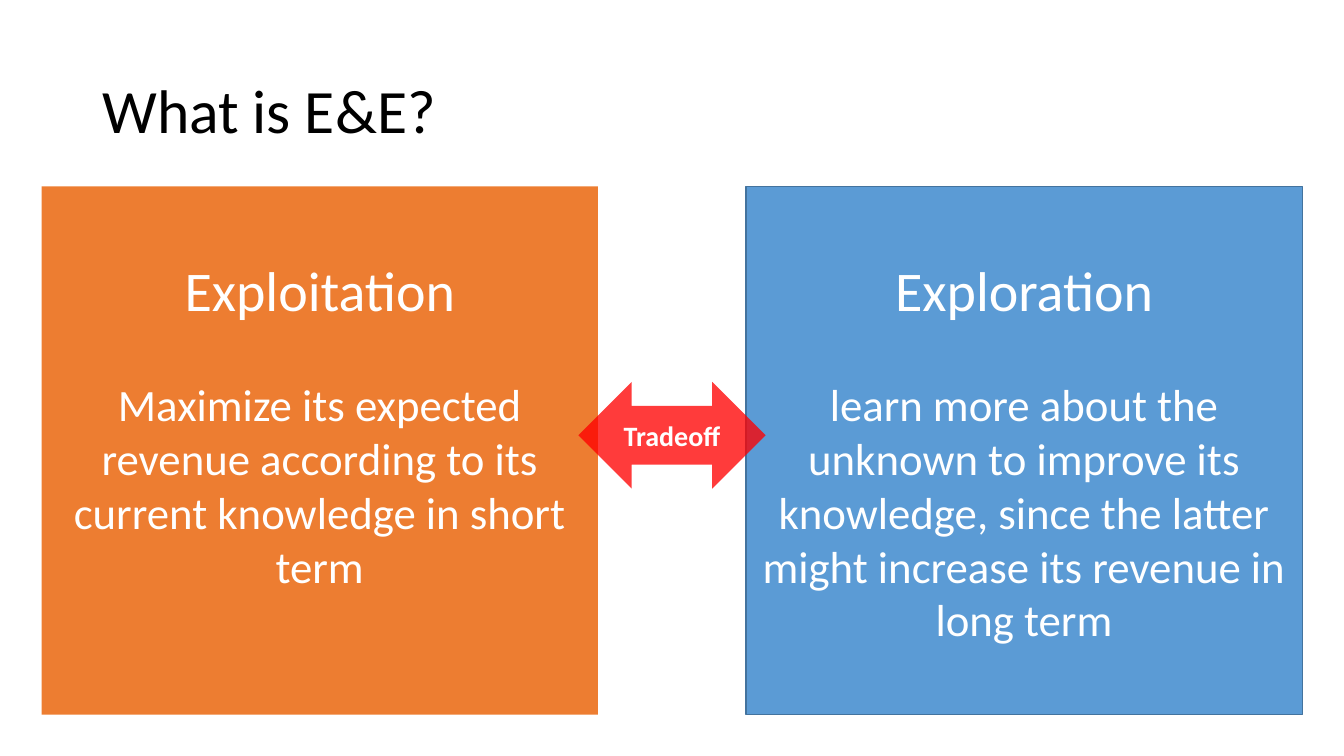
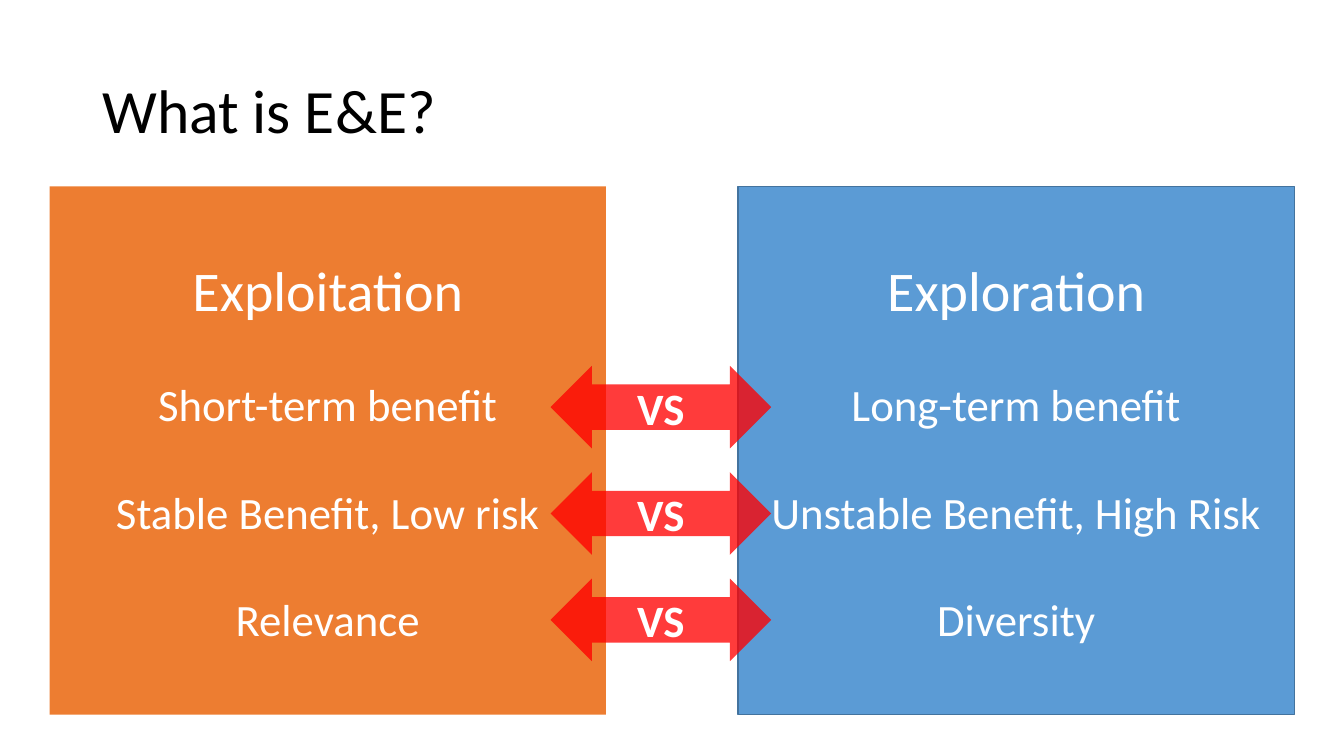
from lxml import etree
from pptx import Presentation
from pptx import util as u
from pptx.dml.color import RGBColor
from pptx.enum import shapes, text
from pptx.oxml.ns import qn

COLORS = {
    "black": "000000",
    "white": "FFFFFF",
    "orange": "ED7D31",
    "blue": "5B9BD5",
    "edge": "43739E",
    "red": "FF0000",
}
FONT = "Calibri"
WIDE, HIGH = 33.87, 19.05
MID = WIDE / 2
PANEL_W, PANEL_H, PANEL_TOP = 14.02, 13.31, 4.7
LINE = u.Pt(38.4)  # height of one body line


def color(name):
    return RGBColor.from_string(COLORS[name])


def write(para, words, size, tint="white", bold=False):
    run = para.add_run()
    run.text = words
    run.font.name = FONT
    run.font.size = u.Pt(size)
    run.font.bold = bold
    run.font.color.rgb = color(tint)


def title(slide, words):
    box = slide.shapes.add_textbox(u.Cm(2.33), u.Cm(1.01), u.Cm(29.21), u.Cm(3.68))
    frame = box.text_frame
    frame.word_wrap = True
    frame.vertical_anchor = text.MSO_ANCHOR.MIDDLE
    para = frame.paragraphs[0]
    para.line_spacing = 0.9
    write(para, words, 44, "black")


def block(slide, kind, left, top, width, height, fill):
    """Add a plain filled shape without shadow or outline; sizes in cm."""
    shape = slide.shapes.add_shape(
        kind, u.Cm(left), u.Cm(top), u.Cm(width), u.Cm(height))
    shape.shadow.inherit = False
    shape.fill.solid()
    shape.fill.fore_color.rgb = color(fill)
    shape.line.fill.background()
    shape.text_frame.word_wrap = True
    return shape


def panel(slide, left, fill, head, items, edge=None):
    shape = block(slide, shapes.MSO_SHAPE.RECTANGLE,
                  left, PANEL_TOP, PANEL_W, PANEL_H, fill)
    if edge:
        shape.line.color.rgb = color(edge)
        shape.line.width = u.Pt(1)
    frame = shape.text_frame
    frame.vertical_anchor = text.MSO_ANCHOR.TOP
    frame.margin_top = u.Cm(1.75)
    para = frame.paragraphs[0]
    para.alignment = text.PP_ALIGN.CENTER
    write(para, head, 40)
    for item in items:
        para = frame.add_paragraph()
        para.alignment = text.PP_ALIGN.CENTER
        para.space_before = LINE
        write(para, item, 32)


def panels(slide, gap, left, right):
    """Place both panels evenly about the middle of the slide."""
    panel(slide, MID - gap / 2 - PANEL_W, "orange", "Exploitation", left)
    panel(slide, MID + gap / 2, "blue", "Exploration", right, "edge")


def arrow(slide, x, y, width, height, words, size):
    """Add a see-through double arrow centred on x, y."""
    shape = block(slide, shapes.MSO_SHAPE.LEFT_RIGHT_ARROW,
                  x - width / 2, y - height / 2, width, height, "red")
    shape.adjustments[0] = 0.55
    shape.adjustments[1] = 0.5
    tint = shape._element.spPr.find(qn("a:solidFill"))[0]
    etree.SubElement(tint, qn("a:alpha")).set("val", "77000")
    frame = shape.text_frame
    frame.vertical_anchor = text.MSO_ANCHOR.MIDDLE
    para = frame.paragraphs[0]
    para.alignment = text.PP_ALIGN.CENTER
    write(para, words, size, bold=True)


def start(deck):
    slide = deck.slides.add_slide(deck.slide_layouts[6])
    title(slide, "What is E&E?")
    return slide


def meaning(deck):
    slide = start(deck)
    panels(
        slide, 3.73,
        ["Maximize its expected revenue according to its current knowledge "
         "in short term"],
        ["learn more about the unknown to improve its knowledge, since the "
         "latter might increase its revenue in long term"])
    arrow(slide, MID, 10.97, 4.72, 2.69, "Tradeoff", 20)


def contrast(deck):
    slide = start(deck)
    pairs = [
        ("Short-term benefit", "Long-term benefit"),
        ("Stable Benefit, Low risk", "Unstable Benefit, High Risk"),
        ("Relevance", "Diversity"),
    ]
    left, right = zip(*pairs)
    panels(slide, 3.33, left, right)
    for row in range(len(pairs)):
        arrow(slide, MID - 0.28, 10.26 + 2.68 * row, 5.56, 2.08, "VS", 32)


def main():
    deck = Presentation()
    deck.slide_width = u.Cm(WIDE)
    deck.slide_height = u.Cm(HIGH)
    meaning(deck)
    contrast(deck)
    deck.save("out.pptx")


if __name__ == "__main__":
    main()
